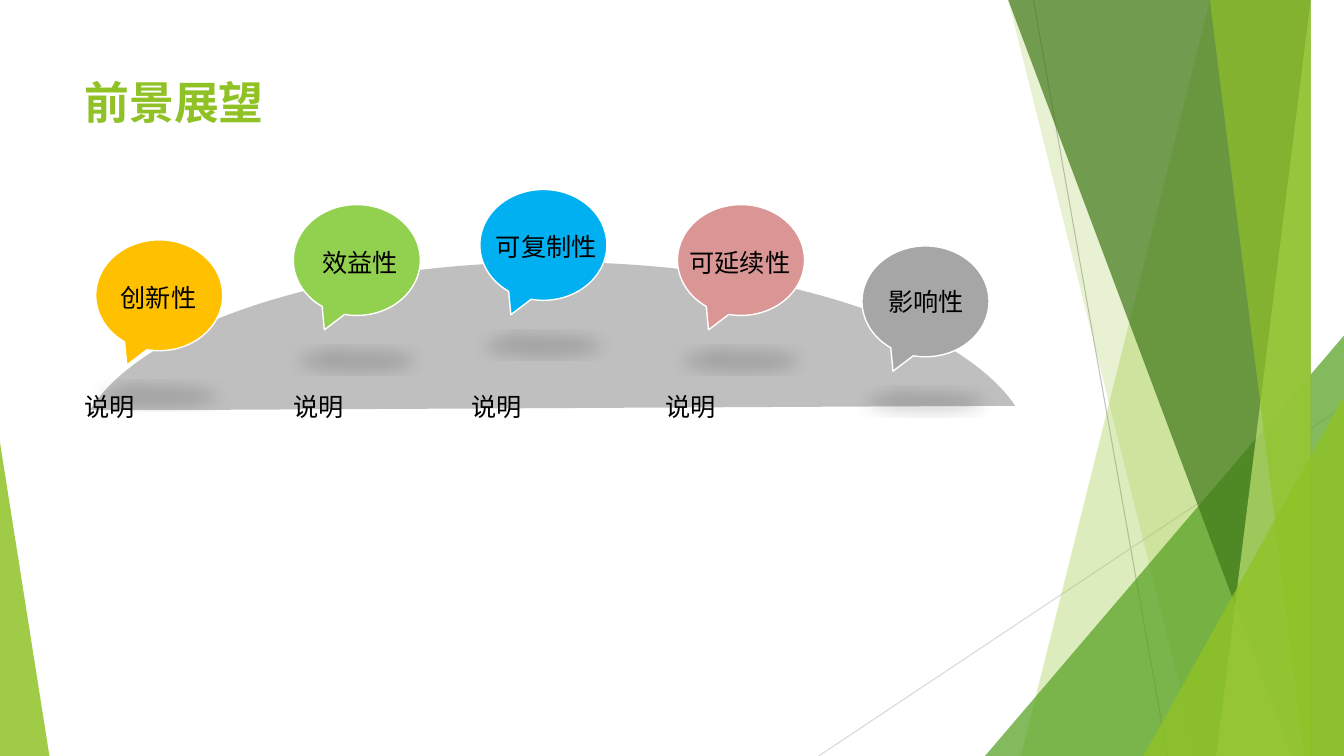
from lxml import etree
from pptx import Presentation
from pptx.dml.color import RGBColor
from pptx.enum.shapes import MSO_CONNECTOR, MSO_SHAPE
from pptx.enum.text import MSO_ANCHOR
from pptx.oxml import parse_xml
from pptx.oxml.ns import nsdecls, qn
from pptx.util import Inches, Pt

FONT = "Noto Sans CJK SC"
COLORS = {
    "green": "90C226", "mid_green": "54A021", "dark_green": "3F7819", "pale_green": "C0E474",
    "line_dark": "BFBFBF", "line_light": "D9D9D9", "black": "000000", "white": "FFFFFF",
    "amber": "FFC000", "lime": "92D050", "blue": "00B0F0", "rose": "D99694", "gray": "A6A6A6",
}


def paint(shape, color, opacity=100):
    shape.shadow.inherit = False
    shape.fill.solid()
    shape.fill.fore_color.rgb = RGBColor.from_string(COLORS[color])
    shape.line.fill.background()
    if opacity < 100:
        srgb = shape.fill._xPr.find(qn("a:solidFill"))[0]
        etree.SubElement(srgb, qn("a:alpha")).set("val", str(opacity * 1000))


def add_text(text, left, top, width, height, size=18, color="black", bold=False, wrap=True):
    box = slide.shapes.add_textbox(Inches(left), Inches(top), Inches(width), Inches(height))
    box.text_frame.word_wrap = wrap
    box.text_frame.vertical_anchor = MSO_ANCHOR.MIDDLE
    paragraph = box.text_frame.paragraphs[0]
    run = paragraph.add_run()
    run.text = text
    font = paragraph.font
    font.name, font.size, font.bold = FONT, Pt(size), bold
    font.color.rgb = RGBColor.from_string(COLORS[color])
    # East Asian glyphs take their typeface from a:ea
    etree.SubElement(run._r.get_or_add_rPr(), qn("a:ea")).set("typeface", FONT)


prs = Presentation()
prs.slide_width, prs.slide_height = Inches(13.33), Inches(7.5)
slide = prs.slides.add_slide(prs.slide_layouts[6])

# Thin rays behind the green facets
for x1, y1, x2, y2, color in [
    (10.25, 0, 11.58, 7.5, "line_dark"),
    (13.33, 4.03, 8.12, 7.5, "line_light"),
]:
    ray = slide.shapes.add_connector(
        MSO_CONNECTOR.STRAIGHT, Inches(x1), Inches(y1), Inches(x2), Inches(y2))
    ray.line.color.rgb = RGBColor.from_string(COLORS[color])
    ray.line.width = Pt(0.75)
    etree.SubElement(ray._element.spPr, qn("a:effectLst"))

# Facets on the right edge: a slanted band is (top x, bottom x),
# a triangle is (left, top, width, apex position)
facets = [
    ((12.28, 10.04), "green", 30),
    ((10.5, 11.83), "green", 20),
    ((9.77, 3.33, 3.56, 1), "mid_green", 72),
    ((10.21, 12.91), "dark_green", 70),
    ((13.03, 11.92), "pale_green", 70),
    ((11.96, 13.18), "green", 65),
    ((11.34, 3.93, 1.99, 1), "green", 80),
    ((0, 4.39, 0.49, 0), "green", 85),
]
for outline, color, opacity in facets:
    if len(outline) == 2:
        top_x, bottom_x = outline
        builder = slide.shapes.build_freeform(top_x, 0, scale=Inches(1))
        builder.add_line_segments([(13.33, 0), (13.33, 7.5), (bottom_x, 7.5)], close=True)
        facet = builder.convert_to_shape()
    else:
        left, top, width, apex = outline
        facet = slide.shapes.add_shape(
            MSO_SHAPE.ISOSCELES_TRIANGLE,
            Inches(left), Inches(top), Inches(width), Inches(7.5 - top))
        facet.adjustments[0] = apex
    paint(facet, color, opacity)

# Title
add_text("前景展望", 0.74, 0.65, 2.2, 0.71, size=32, color="green", bold=True)

# Hill under the callouts
hill = slide.shapes.add_shape(
    MSO_SHAPE.CHORD, Inches(0.74), Inches(2.6), Inches(9.51), Inches(3.92))
hill.adjustments[0], hill.adjustments[1] = 111.627, 212.003
paint(hill, "line_dark")
stops = "".join(
    f'<a:gs pos="{position * 1000}"><a:srgbClr val="{COLORS[color]}"/></a:gs>'
    for position, color in [(0, "line_dark"), (53, "line_dark"), (100, "white")])
hill_fill = hill._element.spPr.find(qn("a:solidFill"))
hill_fill.getparent().replace(hill_fill, parse_xml(
    f'<a:gradFill {nsdecls("a")} rotWithShape="1"><a:gsLst>{stops}</a:gsLst>'
    '<a:lin ang="5400000" scaled="0"/></a:gradFill>'))

# Callouts: name, fill, left, top, then label left, top, width
callouts = [
    ("创新性", "amber", 0.95, 2.38, 1.1, 2.75, 0.96),
    ("效益性", "lime", 2.91, 2.03, 3.1, 2.4, 0.96),
    ("可复制性", "blue", 4.76, 1.88, 4.82, 2.24, 1.21),
    ("可延续性", "rose", 6.72, 2.03, 6.74, 2.4, 1.21),
    ("影响性", "gray", 8.55, 2.44, 8.71, 2.79, 0.96),
]
for name, color, left, top, label_left, label_top, label_width in callouts:
    bubble = slide.shapes.add_shape(
        MSO_SHAPE.OVAL_CALLOUT, Inches(left), Inches(top), Inches(1.26), Inches(1.1))
    bubble.adjustments[0], bubble.adjustments[1] = -0.256, 0.63
    paint(bubble, color)
    bubble.line.color.rgb = RGBColor.from_string(COLORS["white"])
    bubble.line.width = Pt(1)
    # Flattened shadow on the ground below
    bubble._element.spPr.find(qn("a:effectLst")).append(parse_xml(
        f'<a:outerShdw {nsdecls("a")} blurRad="152400" dist="317500" dir="5400000" '
        'sx="90000" sy="-19000" rotWithShape="0">'
        f'<a:srgbClr val="{COLORS["black"]}"><a:alpha val="15000"/></a:srgbClr></a:outerShdw>'))
    add_text(name, label_left, label_top, label_width, 0.4, wrap=False)

# Captions along the foot of the hill
for left in (0.74, 2.81, 4.58, 6.5):
    add_text("说明", left, 3.83, 1.57, 0.4)

prs.save("out.pptx")
